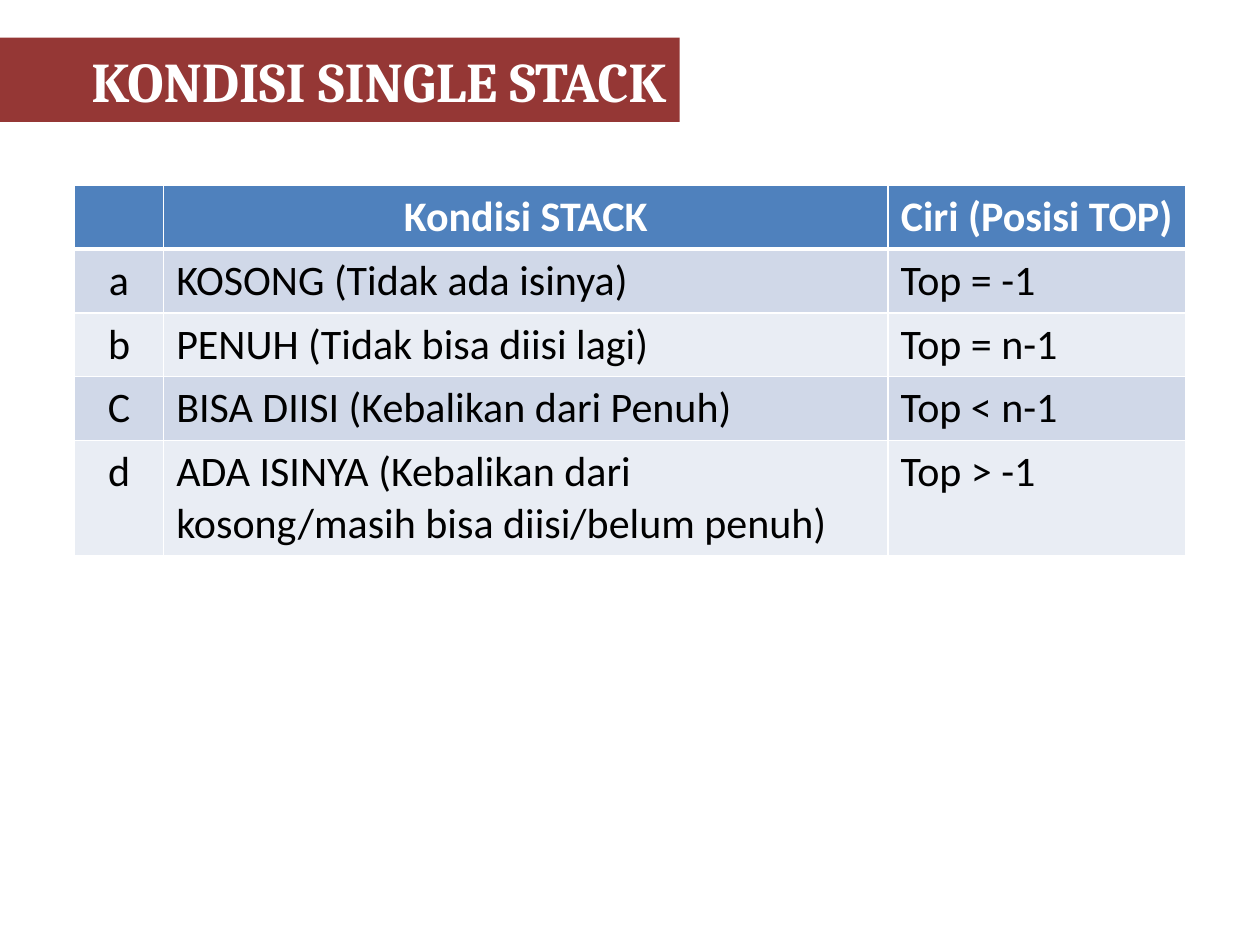
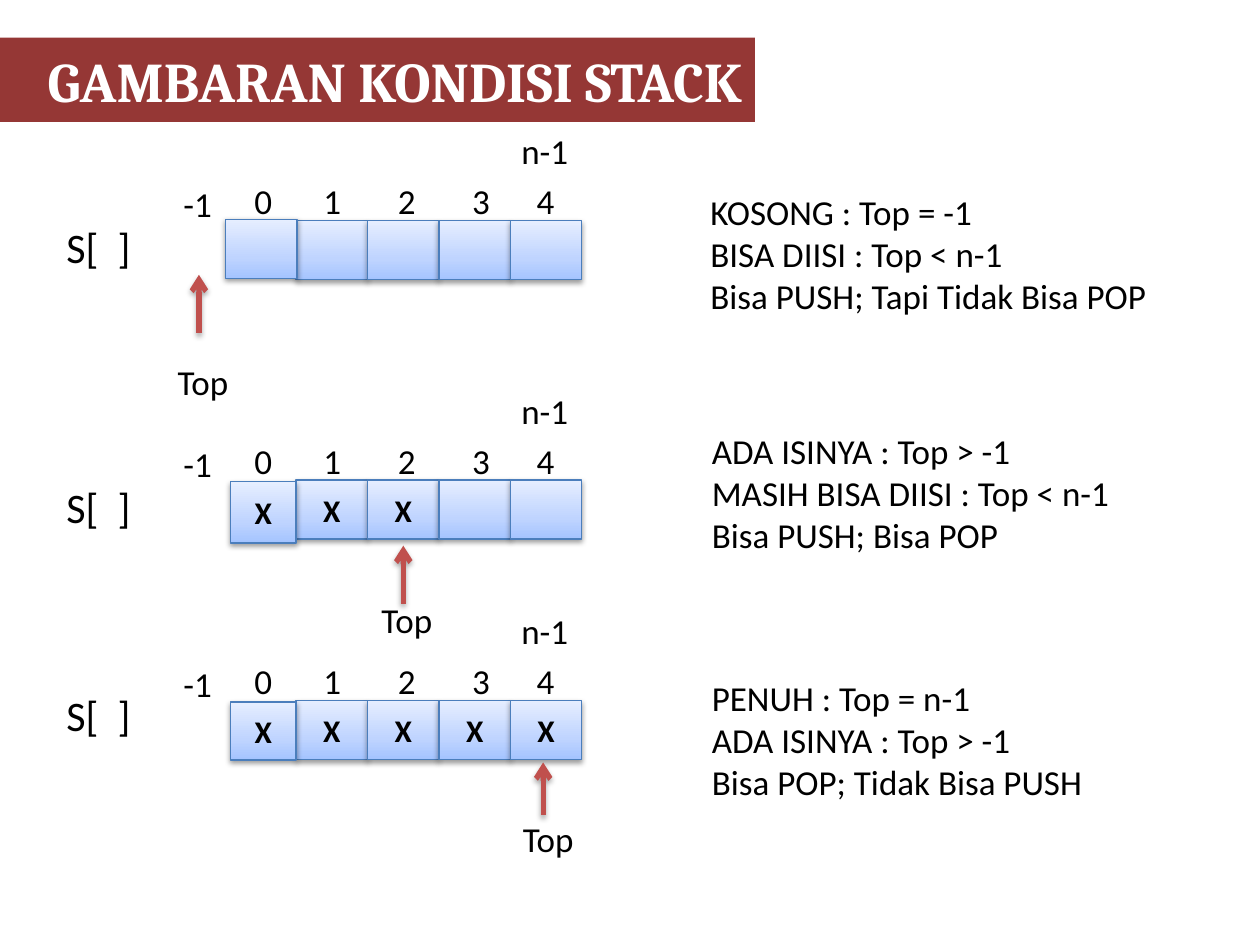
from pptx import Presentation
from pptx import oxml, util as u
from pptx.dml.color import RGBColor
from pptx.enum import shapes, text
from pptx.oxml import ns

Cm, Pt = u.Cm, u.Pt
LEFT, MID, RIGHT = text.PP_ALIGN.LEFT, text.PP_ALIGN.CENTER, text.PP_ALIGN.RIGHT


def rgb(code):
    return RGBColor.from_string(code)


def node(tag, attrs, inner=""):
    """Make one DrawingML element."""
    return oxml.parse_xml(
        f'<a:{tag} {ns.nsdecls("a")} {attrs}>{inner}</a:{tag}>')


def paint(code):
    return f'<a:srgbClr val="{code}"/>'


class Deck:
    # Shared style
    RED, BLUE, WHITE, BLACK = "953735", "4F81BD", "FFFFFF", "000000"
    BANDS = ("D0D8E8", "E9EDF4")
    EDGE, ARROW = "4B7EBC", "C0504D"
    STOPS = ((0, "A4C4FF"), (35, "BFD4FF"), (100, "E6EEFF"))
    HEAD, BODY = "Cambria", "Calibri"

    def __init__(self):
        self.prs = Presentation()
        self.prs.slide_width, self.prs.slide_height = Cm(25.4), Cm(19.05)
        self.slide = None

    def letter(self, frame, lines, size, color=BLACK, bold=False,
               align=LEFT, face=BODY):
        """Fill a text frame in one style."""
        frame.text = "\n".join(lines)
        for par in frame.paragraphs:
            par.alignment = align
            font = par.font
            font.name, font.size, font.bold = face, Pt(size), bold
            font.color.rgb = rgb(color)

    def shade(self, item, alpha, dist):
        """Give a soft shadow that falls straight down."""
        tint = (f'<a:srgbClr val="{self.BLACK}">'
                f'<a:alpha val="{alpha * 1000}"/></a:srgbClr>')
        drop = (f'<a:outerShdw blurRad="{Pt(3.1)}" dist="{Pt(dist)}" '
                f'dir="5400000" rotWithShape="0">{tint}</a:outerShdw>')
        item._element.spPr.append(node("effectLst", "", drop))

    def page(self, title, width):
        """Start a slide with its title band."""
        self.slide = self.prs.slides.add_slide(self.prs.slide_layouts[6])
        band = self.slide.shapes.add_shape(
            shapes.MSO_SHAPE.RECTANGLE, Cm(-1.9), Cm(0.76), Cm(width), Cm(1.7))
        band.shadow.inherit = False
        band.fill.solid()
        band.fill.fore_color.rgb = rgb(self.RED)
        band.line.fill.background()
        self.letter(band.text_frame, [title], 32, self.WHITE, True, RIGHT,
                    self.HEAD)

    def label(self, x, y, w, h, lines, size=20, wrap=False):
        box = self.slide.shapes.add_textbox(Cm(x), Cm(y), Cm(w), Cm(h))
        frame = box.text_frame
        frame.word_wrap = wrap
        frame.auto_size = text.MSO_AUTO_SIZE.SHAPE_TO_FIT_TEXT
        self.letter(frame, lines, size)

    def cell(self, group, x, y, w, h, mark):
        """Draw one stack cell, with a mark if it is filled."""
        box = group.shapes.add_shape(
            shapes.MSO_SHAPE.RECTANGLE, Cm(x), Cm(y), Cm(w), Cm(h))
        box.line.color.rgb = rgb(self.EDGE)
        box.line.width = Pt(0.75)
        stops = "".join(f'<a:gs pos="{pos * 1000}">{paint(code)}</a:gs>'
                        for pos, code in self.STOPS)
        fill = node("gradFill", 'rotWithShape="1"',
                    f'<a:gsLst>{stops}</a:gsLst><a:lin ang="16200000"/>')
        box._element.spPr.insert(2, fill)
        self.shade(box, 38, 1.6)
        if mark:
            self.letter(box.text_frame, [mark], 18, bold=True, align=MID)

    def arrow(self, x, low, high):
        line = self.slide.shapes.add_connector(
            shapes.MSO_CONNECTOR.STRAIGHT, Cm(x), Cm(low), Cm(x), Cm(high))
        line.line.color.rgb = rgb(self.ARROW)
        line.line.width = Pt(3)
        spot = line._element.spPr
        spot.find(ns.qn("a:ln")).append(node("tailEnd", 'type="arrow"'))
        self.shade(line, 35, 1.8)

    def table(self, x, y, widths, heights, rows):
        grid = self.slide.shapes.add_table(
            len(rows), len(widths), Cm(x), Cm(y),
            Cm(sum(widths)), Cm(sum(heights))).table
        for col, width in zip(grid.columns, widths):
            col.width = Cm(width)
        for r, (row, height) in enumerate(zip(rows, heights)):
            grid.rows[r].height = Cm(height)
            head = r == 0
            for c, word in enumerate(row):
                cell = grid.cell(r, c)
                cell.fill.solid()
                cell.fill.fore_color.rgb = rgb(
                    self.BLUE if head else self.BANDS[(r - 1) % 2])
                self.letter(cell.text_frame, [word], 24,
                            self.WHITE if head else self.BLACK, head,
                            MID if head or c == 0 else LEFT)
                self.border(cell, 3 if r == 1 else 1, 3 if head else 1)

    def border(self, cell, top, low):
        """Set white borders; the rule under the header is thicker."""
        props = cell._tc.get_or_add_tcPr()
        fill = f"<a:solidFill>{paint(self.WHITE)}</a:solidFill>"
        sides = (("lnL", 1), ("lnR", 1), ("lnT", top), ("lnB", low))
        for n, (side, width) in enumerate(sides):
            props.insert(n, node(side, f'w="{Pt(width)}"', fill))

    def stack(self, y, name, first, marks, tip, top, note):
        """Draw a stack: cells, indices, the Top arrow and a note."""
        self.label(3.45, y - 0.89, 1.09, 1.12, ["-1"])
        group = self.slide.shapes.add_group_shape()
        step = 1.44
        for n in range(1, 5):
            self.cell(group, 5.97 + (n - 1) * step, y, step, 1.19, marks[n])
        left, drop, wide, high = first
        self.cell(group, left, y + drop, wide, high, marks[0])
        self.label(1.09, name, 1.8, 1.27, ["S[  ]"], 24)
        for n, x in enumerate((4.88, 6.27, 7.77, 9.27, 10.57)):
            self.label(x, y - 0.95, 0.86, 1.12, [str(n)])
        self.label(10.26, y - 1.96, 1.47, 1.12, ["n-1"])
        self.arrow(*tip)
        self.label(*top, 1.55, 1.12, ["Top"])
        self.label(*note[:2], 9.42, 2.82, note[2], wrap=True)


deck = Deck()

# Slide 1: table of conditions
deck.page("KONDISI SINGLE STACK", 15.6)
deck.table(1.5, 3.73, (1.8, 14.6, 6), (1.28,) * 4 + (2.32,), (
    ("", "Kondisi STACK", "Ciri (Posisi TOP)"),
    ("a", "KOSONG (Tidak ada isinya)", "Top = -1"),
    ("b", "PENUH (Tidak bisa diisi lagi)", "Top = n-1"),
    ("C", "BISA DIISI (Kebalikan dari Penuh)", "Top < n-1"),
    ("d", "ADA ISINYA (Kebalikan dari kosong/masih bisa diisi/belum penuh)",
     "Top > -1")))

# Slide 2: empty, partly filled and full stacks
deck.page("GAMBARAN KONDISI STACK", 17.12)
deck.stack(4.45, 4.34, (4.55, -0.03, 1.44, 1.19), [""] * 5,
           (4.01, 6.71, 5.54), (3.33, 7.14),
           (14.07, 3.71, ("KOSONG : Top = -1", "BISA DIISI : Top < n-1",
                          "Bisa PUSH; Tapi Tidak Bisa POP")))
deck.stack(9.68, 9.58, (4.65, 0.03, 1.32, 1.24), ["X"] * 3 + [""] * 2,
           (8.13, 12.17, 11), (7.44, 11.94),
           (14.1, 8.53, ("ADA ISINYA : Top > -1",
                         "MASIH BISA DIISI : Top < n-1",
                         "Bisa PUSH; Bisa POP")))
deck.stack(14.12, 13.77, (4.65, 0.03, 1.32, 1.17), ["X"] * 5,
           (10.95, 16.43, 15.37), (10.29, 16.36),
           (14.1, 13.51, ("PENUH : Top = n-1", "ADA ISINYA : Top > -1",
                          "Bisa POP; Tidak Bisa PUSH")))

deck.prs.save("out.pptx")
